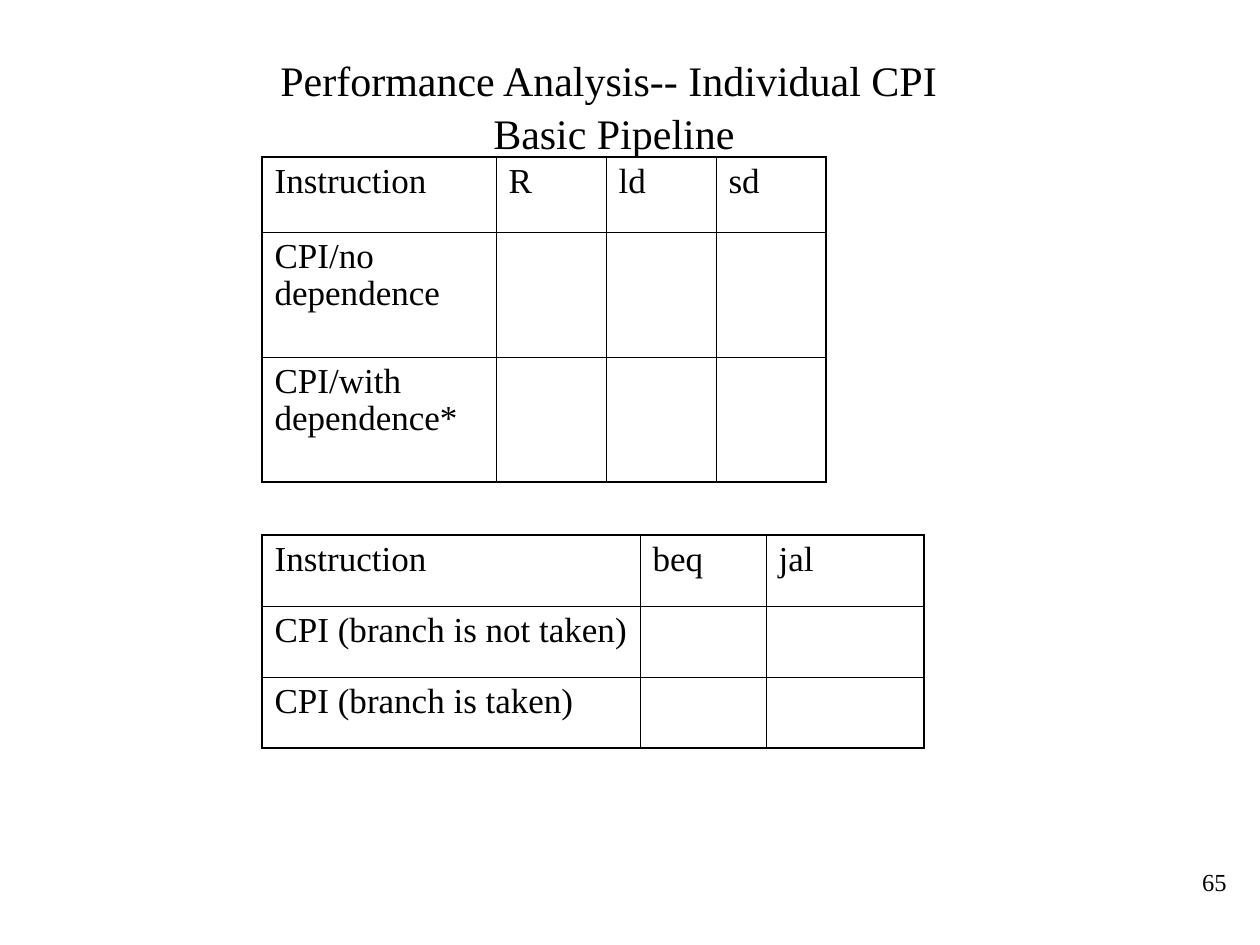
from lxml import etree
from pptx import Presentation
from pptx.dml.color import RGBColor
from pptx.enum.text import MSO_ANCHOR, PP_ALIGN
from pptx.oxml.ns import qn
from pptx.util import Pt

PX = 914400 / 126
FONT = "Times New Roman"
BLACK = "000000"
OUTER, INNER = 1.08, 0.45
CENTER, RIGHT = PP_ALIGN.CENTER, PP_ALIGN.RIGHT
MIDDLE, TOP = MSO_ANCHOR.MIDDLE, MSO_ANCHOR.TOP


def px(n):
    return round(n * PX)


def color(value):
    return RGBColor.from_string(value)


def write(p, text, size, **paragraph_format):
    for name, value in paragraph_format.items():
        setattr(p, name, value)
    p.text = text
    font = {"name": FONT, "size": Pt(size)}
    for r in p.runs:
        for name, value in font.items():
            setattr(r.font, name, value)
        r.font.color.rgb = color(BLACK)


def add_text(slide, box, text, size, anchor=TOP, **paragraph_format):
    sp = slide.shapes.add_textbox(*map(px, box))
    tf = sp.text_frame
    tf.word_wrap = True
    tf.vertical_anchor = anchor
    write(tf.paragraphs[0], text, size, **paragraph_format)


def set_borders(cell, widths):
    tc_pr = cell._tc.get_or_add_tcPr()
    for i, (tag, width) in enumerate(widths.items()):
        ln = etree.Element(qn(f"a:{tag}"), w=str(Pt(width)))
        fill = etree.SubElement(ln, qn("a:solidFill"))
        etree.SubElement(fill, qn("a:srgbClr"), val=BLACK)
        tc_pr.insert(i, ln)


def add_cpi_table(slide, left, top, widths, heights, rows):
    """Header row and label column; the CPI cells stay open to be filled in."""
    n_rows, n_cols = len(heights), len(widths)
    box = (left, top, sum(widths), sum(heights))
    table = slide.shapes.add_table(n_rows, n_cols, *map(px, box)).table
    table.first_row = table.horz_banding = False
    for column, width in zip(table.columns, widths):
        column.width = px(width)
    for row, height in zip(table.rows, heights):
        row.height = px(height)
    for i in range(n_rows):
        for j in range(n_cols):
            cell = table.cell(i, j)
            cell.fill.background()
            set_borders(cell, {
                "lnL": OUTER if j == 0 else INNER,
                "lnR": OUTER if j == n_cols - 1 else INNER,
                "lnT": OUTER if i == 0 else INNER,
                "lnB": OUTER if i == n_rows - 1 else INNER,
            })
            if j < len(rows[i]):
                write(cell.text_frame.paragraphs[0], rows[i][j], 20,
                      space_before=Pt(5), line_spacing=0.96)


def main():
    prs = Presentation()
    prs.slide_width, prs.slide_height = px(1260), px(945)
    slide = prs.slides.add_slide(prs.slide_layouts[6])

    # Title
    add_text(slide, (94, 42, 1040, 126),
             "Performance Analysis-- Individual CPI \vBasic Pipeline",
             24, MIDDLE, alignment=CENTER, line_spacing=1.06)

    # Register and memory instructions
    add_cpi_table(slide, 262, 157, [234, 110, 110, 110], [75, 125, 125], [
        ["Instruction", "R", "ld", "sd"],
        ["CPI/no dependence"],
        ["CPI/with dependence*"],
    ])

    # Branch and jump instructions
    add_cpi_table(slide, 262, 535, [378, 126, 158], [71, 71, 71], [
        ["Instruction", "beq", "jal"],
        ["CPI (branch is not taken)"],
        ["CPI (branch is taken)"],
    ])

    # Page number
    add_text(slide, (945, 861, 294, 66), "65", 14, alignment=RIGHT)

    prs.save("out.pptx")


if __name__ == "__main__":
    main()
